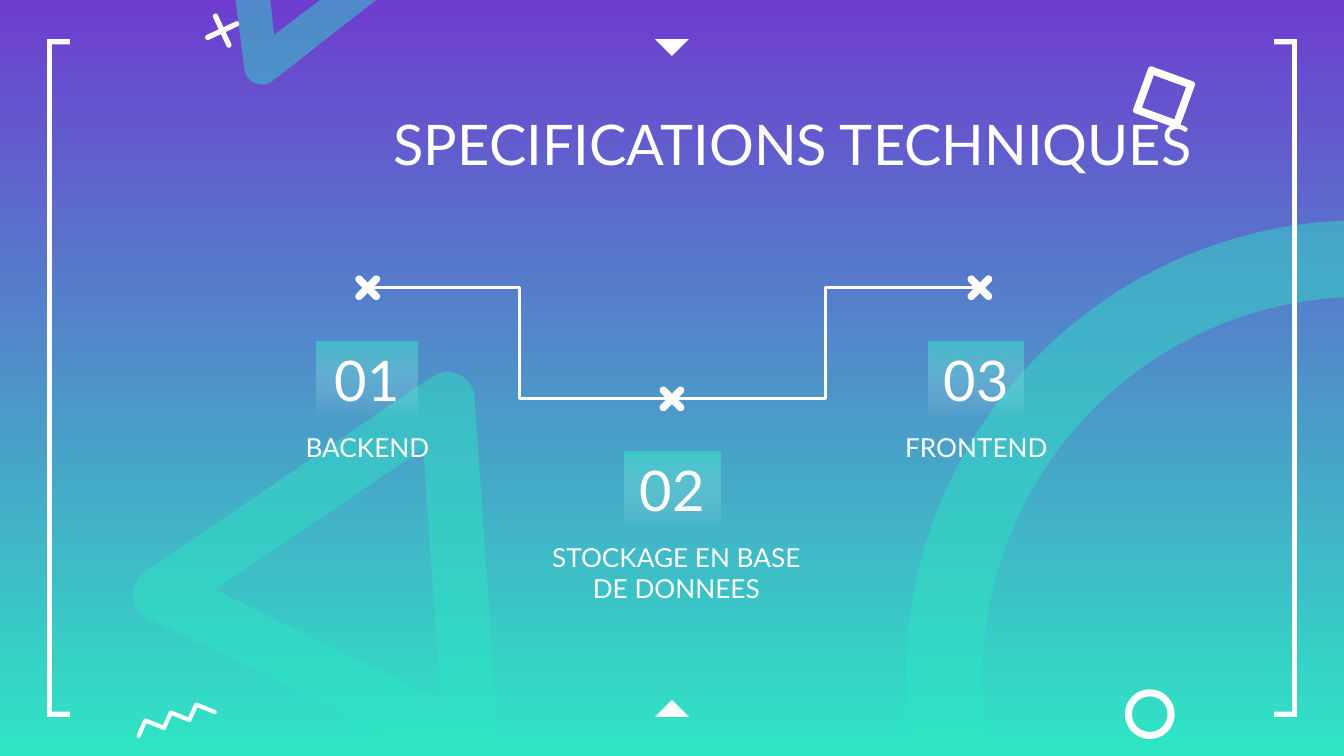
"""Build the technical specifications slide with its three-step timeline."""
import math

import lxml.etree
import pptx
import pptx.dml.color
import pptx.enum.shapes
import pptx.enum.text
import pptx.oxml.ns
import pptx.util

Cm = pptx.util.Cm
qn = pptx.oxml.ns.qn
RGB = pptx.dml.color.RGBColor.from_string
SHAPES = pptx.enum.shapes.MSO_SHAPE
ALIGN = pptx.enum.text.PP_ALIGN
ANCHOR = pptx.enum.text.MSO_ANCHOR
COLORS = {"violet": "6E3DCF", "mint": "2EE6C4", "white": "FFFFFF"}
WIDTH, HEIGHT = 25.4, 14.29

deck = pptx.Presentation()
deck.slide_width, deck.slide_height = Cm(WIDTH), Cm(HEIGHT)
slide = deck.slides.add_slide(deck.slide_layouts[6])


def arc(x, y, radius, start, end, steps=12):
    """Return points along an arc, with angles in degrees, clockwise from the right."""
    angles = [math.radians(start + (end - start) * i / steps) for i in range(steps + 1)]
    return [(x + radius * math.cos(a), y + radius * math.sin(a)) for a in angles]


def draw(contours, color="white", opacity=100, closed=True):
    """Draw contours given in centimetres as one filled outline."""
    paths = [[(Cm(x), Cm(y)) for x, y in contour] for contour in contours]
    builder = slide.shapes.build_freeform(*paths[0][0], scale=1.0)
    builder.add_line_segments(paths[0][1:], close=closed)
    for points in paths[1:]:
        builder.move_to(*points[0])
        builder.add_line_segments(points[1:], close=closed)
    outline = builder.convert_to_shape()
    outline.shadow.inherit = False
    outline.line.fill.background()
    outline.fill.solid()
    outline.fill.fore_color.rgb = RGB(COLORS[color])
    if opacity < 100:
        tint = next(outline._element.spPr.iter(qn("a:srgbClr")))
        lxml.etree.SubElement(tint, qn("a:alpha"), val=str(opacity * 1000))
    return outline


backdrop = slide.background.fill
backdrop.gradient()
backdrop.gradient_angle = 270
for stop, name in zip(backdrop.gradient_stops, ("violet", "mint")):
    stop.color.rgb = RGB(COLORS[name])

large_triangle = [
    arc(3.02, 11.23, 0.51, 116, 236) + arc(8.46, 7.54, 0.51, 236, 356)
    + [(9.42, 14.05), (9.42, HEIGHT), (8.18, HEIGHT)],
    [(8, 8.48), (4.06, 11.15), (8.33, 13.23)],
]
top_triangle = [
    [(7.11, 0)] + arc(4.95, 1.27, 0.33, 52, 172)
    + [(4.45, 0), (5.11, 0), (5.18, 0.66), (6.05, 0)]
]
large_ring = [
    arc(25.76, 12.8, 8.64, 170.2, 267.6, 60) + arc(25.76, 12.8, 7.19, 267.2, 168.2, 60)
]
for ornament in (large_triangle, top_triangle, large_ring):
    draw(ornament, "mint", 45)

for base, tip in ((0.74, 1.06), (13.55, 13.23)):
    draw([[(12.38, base), (12.7, tip), (13.02, base)]])

square_outside = []
for angle in range(65, 425, 90):
    corner = arc(22, 1.84, 0.58, angle, angle, 1)[0]
    square_outside += arc(*corner, 0.06, angle - 45, angle + 45)
draw([square_outside, arc(22, 1.84, 0.46, 65, 335, 3)])

bracket = [(0.89, 0.74), (0.89, 13.55), (1.32, 13.55), (1.32, 13.45),
           (0.98, 13.45), (0.98, 0.84), (1.32, 0.84), (1.32, 0.74)]
draw([bracket])
draw([[(WIDTH - x, y) for x, y in bracket]])

zigzag_points = []
for step in range(4):
    x, y = 2.62 + 0.48 * step, 13.91 - 0.15 * step
    zigzag_points += [(x, y), (x + 0.13, y - 0.29)]
zigzag = draw([zigzag_points[:-1]], closed=False)
zigzag.fill.background()
zigzag.line.color.rgb = RGB(COLORS["white"])
zigzag.line.width = pptx.util.Pt(2.25)
zigzag.line._get_or_add_ln().set("cap", "rnd")

small_ring = slide.shapes.add_shape(SHAPES.DONUT, Cm(21.26), Cm(13.03), Cm(0.94), Cm(0.94))
small_ring.adjustments[0] = 0.14
small_ring.shadow.inherit = False
small_ring.fill.solid()
small_ring.fill.fore_color.rgb = RGB(COLORS["white"])
small_ring.line.fill.background()

wordings = [
    ("SPECIFICATIONS TECHNIQUES", (7.19, 1.83, 20.19, 2.31), 30, ALIGN.LEFT, False),
    ("BACKEND", (4.29, 7.9, 5.31, 1.85), 14, ALIGN.CENTER, False),
    ("STOCKAGE EN BASE DE DONNEES", (10.13, 9.98, 5.31, 1.85), 14, ALIGN.CENTER, False),
    ("FRONTEND", (15.8, 7.9, 5.31, 1.85), 14, ALIGN.CENTER, False),
    ("01", (5.99, 6.45, 1.91, 1.45), 30, ALIGN.CENTER, True),
    ("02", (11.81, 8.53, 1.8, 1.45), 30, ALIGN.CENTER, True),
    ("03", (17.55, 6.45, 1.8, 1.45), 30, ALIGN.CENTER, True),
]
for wording, box, size, alignment, is_number in wordings:
    place = [Cm(length) for length in box]
    if is_number:
        holder = slide.shapes.add_shape(SHAPES.RECTANGLE, *place)
        holder.shadow.inherit = False
        holder.line.fill.background()
        holder.fill.gradient()
        holder.fill.gradient_angle = 270
        for stop, name in zip(holder.fill.gradient_stops, ("mint", "white")):
            stop.color.rgb = RGB(COLORS[name])
        for tint, alpha in zip(holder._element.spPr.iter(qn("a:srgbClr")), (54, 0)):
            lxml.etree.SubElement(tint, qn("a:alpha"), val=str(alpha * 1000))
    else:
        holder = slide.shapes.add_textbox(*place)
    side, edge = Cm(0.25), Cm(0.1 if is_number else 0.25)
    frame_format = {
        "word_wrap": True,
        "vertical_anchor": ANCHOR.MIDDLE if is_number else ANCHOR.TOP,
        "margin_left": side, "margin_right": side,
        "margin_top": edge, "margin_bottom": edge,
    }
    for key, value in frame_format.items():
        setattr(holder.text_frame, key, value)
    paragraph = holder.text_frame.paragraphs[0]
    paragraph.alignment = alignment
    run = paragraph.add_run()
    run.text = wording
    for key, value in {"name": "Lato", "size": pptx.util.Pt(size)}.items():
        setattr(run.font, key, value)
    run.font.color.rgb = RGB(COLORS["white"])

milestones = [(6.95, 5.44), (12.7, 7.54), (18.52, 5.44)]
crosses = [(4.2, 0.58, 0.3, 0.05, 65)] + [(x, y, 0.23, 0.07, 45) for x, y in milestones]
for x, y, reach, radius, tilt in crosses:
    cross = []
    for angle in range(tilt, tilt + 360, 90):
        arm_end = arc(x, y, reach, angle, angle, 1)[0]
        notch = arc(x, y, radius * math.sqrt(2), angle + 45, angle + 45, 1)[0]
        cross += arc(*arm_end, radius, angle - 90, angle + 90) + [notch]
    draw([cross])

for milestone in (milestones[0], milestones[2]):
    ends = [Cm(length) for length in milestone + milestones[1]]
    link = slide.shapes.add_connector(pptx.enum.shapes.MSO_CONNECTOR.ELBOW, *ends)
    link.line.color.rgb = RGB(COLORS["white"])
    link.line.width = pptx.util.Pt(1.5)
    lxml.etree.SubElement(link._element.spPr, qn("a:effectLst"))

deck.save("out.pptx")
